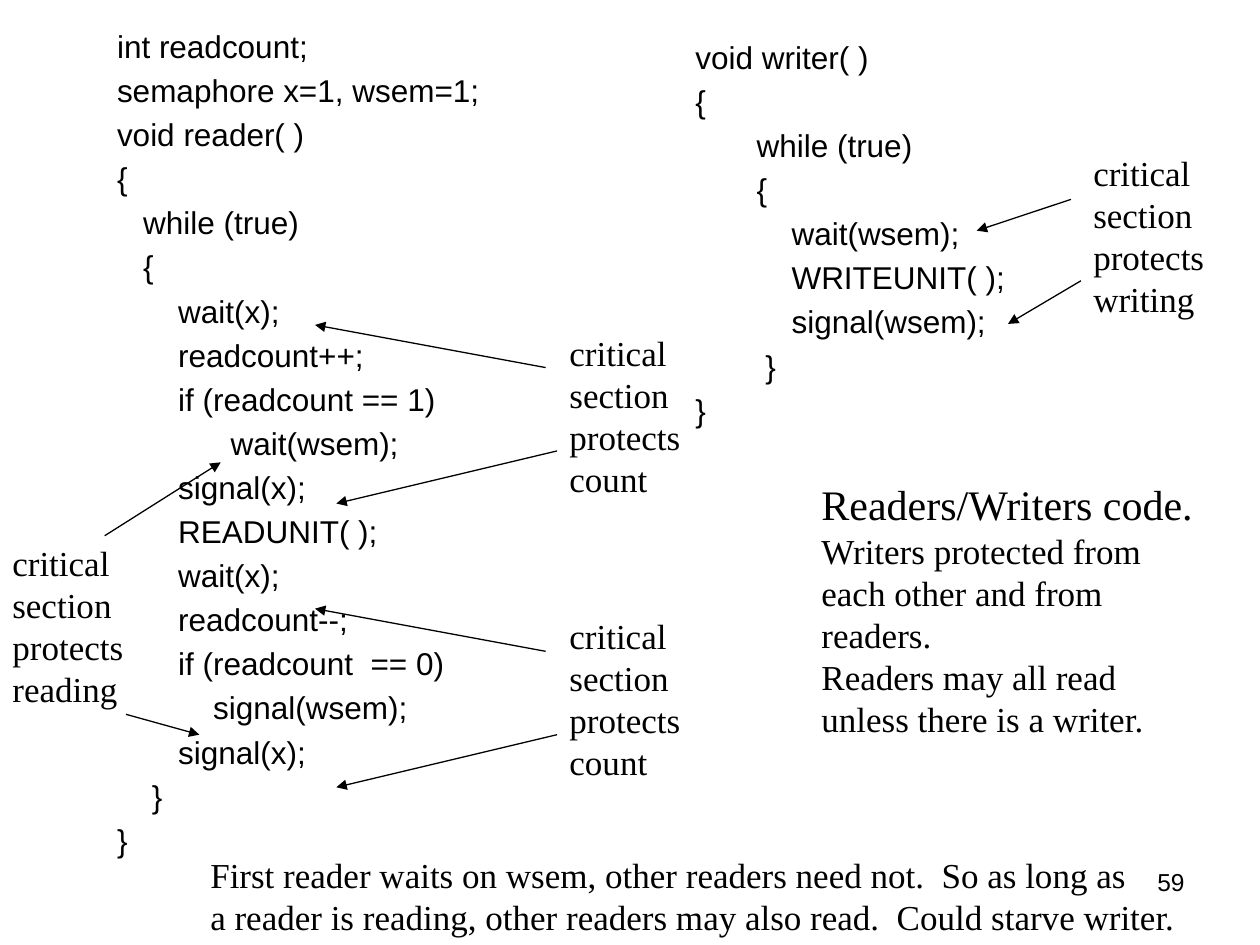
from dataclasses import dataclass

from lxml import etree
from pptx import Presentation
from pptx.dml.color import RGBColor
from pptx.enum.shapes import MSO_CONNECTOR
from pptx.enum.text import PP_ALIGN
from pptx.oxml.ns import qn
from pptx.util import Cm, Pt

STRAIGHT = MSO_CONNECTOR.STRAIGHT
LEFT, RIGHT = PP_ALIGN.LEFT, PP_ALIGN.RIGHT


@dataclass(frozen=True)
class Theme:
    ink: RGBColor = RGBColor(0, 0, 0)
    code_font: str = "Arial"
    prose_font: str = "Times New Roman"
    heading_size: int = 24
    prose_size: int = 20
    code_size: int = 18
    number_size: int = 14
    code_gap: float = 3.6
    leading: float = 1.2
    arrow_width: float = 0.75


class SlideBuilder:
    def __init__(self, slide, theme):
        self.slide = slide
        self.theme = theme

    def text(self, box, lines, font, size, gap=0, wrap=True, align=LEFT, first_size=None):
        frame = self.slide.shapes.add_textbox(*map(Cm, box)).text_frame
        frame.word_wrap = wrap
        for index, line in enumerate(lines):
            paragraph = frame.add_paragraph() if index else frame.paragraphs[0]
            line_size = size if index else first_size or size
            paragraph.text = line
            paragraph.alignment = align
            paragraph.line_spacing = Pt(line_size * self.theme.leading)
            if index and gap:
                paragraph.space_before = Pt(gap)
            paragraph.font.name = font
            paragraph.font.size = Pt(line_size)
            paragraph.font.color.rgb = self.theme.ink

    def code(self, box, source):
        self.text(box, source.strip("\n").split("\n"), self.theme.code_font,
                  self.theme.code_size, gap=self.theme.code_gap)

    def prose(self, box, lines, first_size=None):
        self.text(box, lines, self.theme.prose_font, self.theme.prose_size,
                  wrap=False, first_size=first_size)

    def page_number(self, box, number):
        self.text(box, [number], self.theme.code_font, self.theme.number_size, align=RIGHT)

    def arrow(self, start, end):
        connector = self.slide.shapes.add_connector(STRAIGHT, *map(Cm, start + end))
        connector.line.color.rgb = self.theme.ink
        connector.line.width = Pt(self.theme.arrow_width)
        etree.SubElement(connector.line._get_or_add_ln(), qn("a:tailEnd"), type="triangle")
        etree.SubElement(connector._element.spPr, qn("a:effectLst"))

    def critical_section(self, box, protected, arrows):
        self.text(box, ["critical", "section", "protects", protected],
                  self.theme.prose_font, self.theme.prose_size)
        for start, end in arrows:
            self.arrow(start, end)


READER = """
int readcount;
semaphore x=1, wsem=1;
void reader( )
{
   while (true)
   {
       wait(x);
       readcount++;
       if (readcount == 1)
             wait(wsem);
       signal(x);
       READUNIT( );
       wait(x);
       readcount--;
       if (readcount  == 0)
           signal(wsem);
       signal(x);
    }
}
"""

WRITER = """
void writer( )
{
       while (true)
       {
           wait(wsem);
           WRITEUNIT( );
           signal(wsem);
        }
}
"""

SUMMARY = [
    "Readers/Writers code.",
    "Writers protected from",
    "each other and from",
    "readers.",
    "Readers may all read",
    "unless there is a writer.",
]

STARVATION = [
    "First reader waits on wsem, other readers need not.  So as long as",
    "a reader is reading, other readers may also read.  Could starve writer.",
]


def main():
    deck = Presentation()
    deck.slide_width, deck.slide_height = Cm(25.4), Cm(19.05)
    theme = Theme()
    page = SlideBuilder(deck.slides.add_slide(deck.slide_layouts[6]), theme)

    page.page_number((18.21, 17.35, 5.92, 1.32), "59")
    page.code((2.11, 0.42, 11.63, 17.98), READER)
    page.code((13.77, 0.64, 10.59, 16.31), WRITER)

    page.critical_section((21.79, 2.92, 3.18, 3.63), "writing", [
        ((21.59, 4.02), (19.69, 4.65)),
        ((21.79, 5.66), (20.32, 6.53)),
    ])
    for top in (6.55, 12.27):
        page.critical_section((11.23, top, 3.18, 3.63), "count", [
            ((11, top + 0.86), (6.35, top)),
            ((11.23, top + 2.54), (6.78, top + 3.6)),
        ])
    page.critical_section((0, 10.8, 2.97, 3.63), "reading", [
        ((2.54, 14.4), (4.02, 14.81)),
        ((2.11, 10.8), (4.45, 9.32)),
    ])

    page.prose((16.31, 9.53, 8, 5.51), SUMMARY, first_size=theme.heading_size)
    page.prose((3.99, 17.09, 19.99, 1.96), STARVATION)

    deck.save("out.pptx")


if __name__ == "__main__":
    main()
